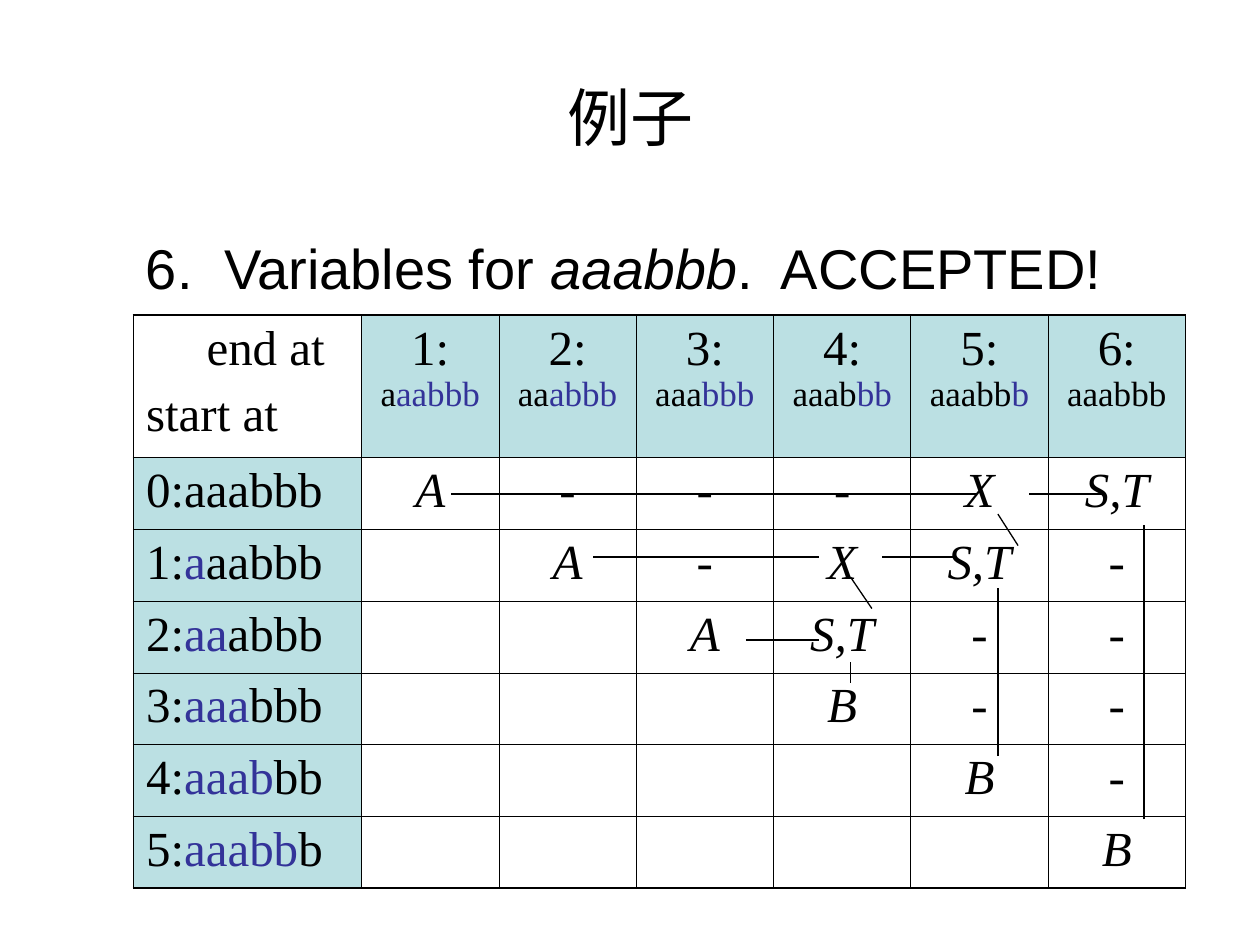
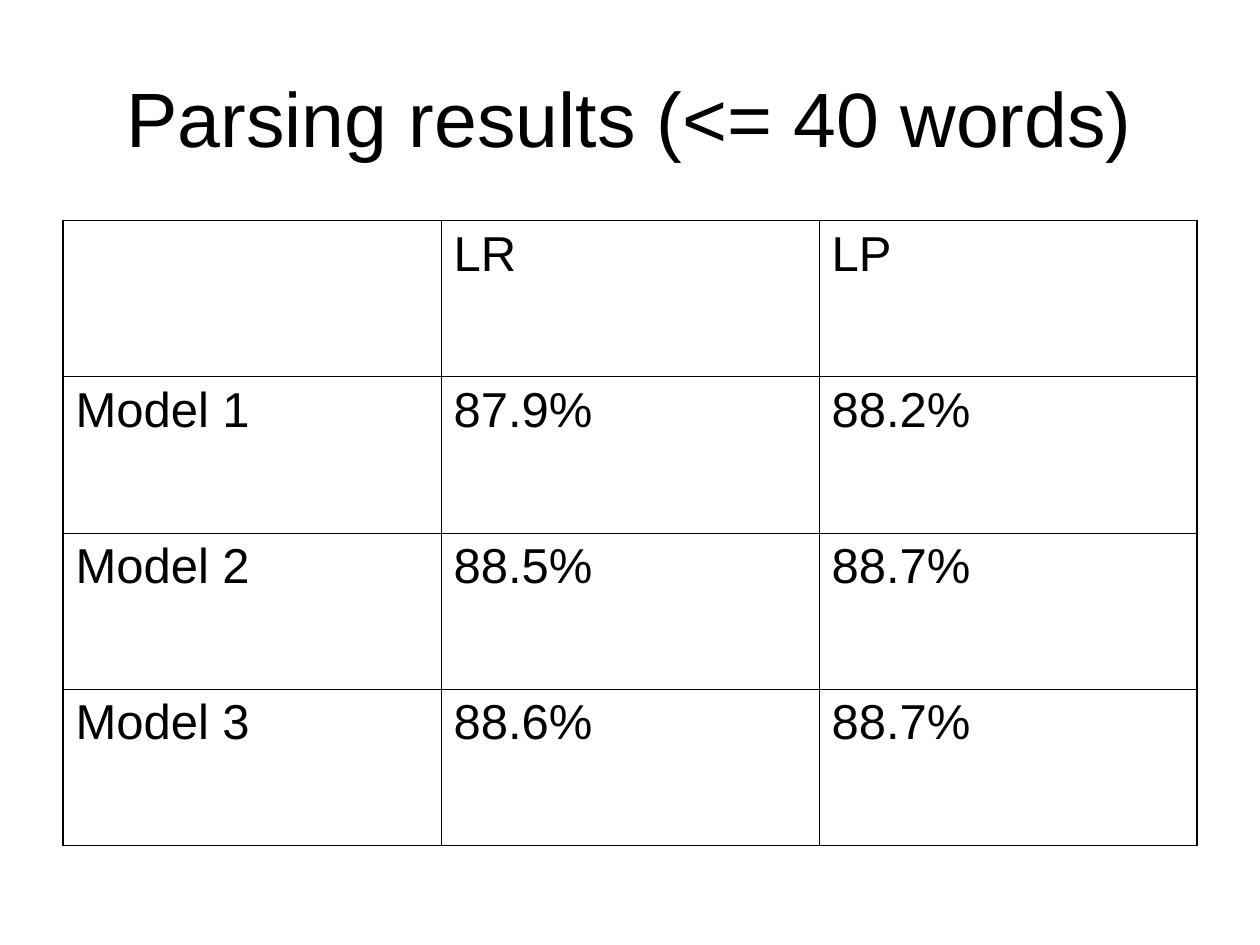
import pptx
import pptx.dml.color
import pptx.enum.shapes
import pptx.enum.text
import pptx.oxml.ns
import pptx.util
import lxml.etree

Inches = pptx.util.Inches
Pt = pptx.util.Pt
ALIGN = pptx.enum.text.PP_ALIGN
ANCHOR = pptx.enum.text.MSO_ANCHOR

WORD = "aaabbb"
VARIABLES = [
    ["A", "-", "-", "-", "X", "S,T"],
    ["", "A", "-", "X", "S,T", "-"],
    ["", "", "A", "S,T", "-", "-"],
    ["", "", "", "B", "-", "-"],
    ["", "", "", "", "B", "-"],
    ["", "", "", "", "", "B"],
]
DERIVATION_LINES = [
    (5.92, 5.08, 6.5, 5.08),
    (6.75, 5.42, 6.75, 5.25),
    (4.71, 4.42, 6.5, 4.42),
    (6.92, 4.83, 6.75, 4.58),
    (7, 4.42, 7.58, 4.42),
    (7.92, 6, 7.92, 4.67),
    (3.58, 3.92, 7.75, 3.92),
    (8.08, 4.33, 7.92, 4.08),
    (8.17, 3.92, 8.75, 3.92),
    (9.08, 6.5, 9.08, 4.17),
]
RESULTS = [
    ["", "LR", "LP"],
    ["Model 1", "87.9%", "88.2%"],
    ["Model 2", "88.5%", "88.7%"],
    ["Model 3", "88.6%", "88.7%"],
]


def colour(value):
    return pptx.dml.color.RGBColor.from_string(value)


def add_element(parent, name, **attributes):
    return lxml.etree.SubElement(parent, pptx.oxml.ns.qn(name), attributes)


class SlideBuilder:
    black = "000000"
    blue = "333399"
    header_fill = "BBE0E3"
    sans = "Arial"
    serif = "Times New Roman"
    inner_border = 0.45
    outer_border = 1.08

    def __init__(self, deck):
        self.deck = deck
        self.slide = None

    def add_slide(self, title, size):
        self.slide = self.deck.slides.add_slide(self.deck.slide_layouts[5])
        box = self.slide.shapes.title
        box.left, box.top = Inches(0.5), Inches(0.3)
        box.width, box.height = Inches(9), Inches(1.25)
        box.text_frame.vertical_anchor = ANCHOR.MIDDLE
        self.add_spans(box.text_frame.paragraphs[0], [(title, {})], size, self.sans, ALIGN.CENTER)

    def add_spans(self, para, spans, size, font, align=ALIGN.LEFT):
        para.alignment = align
        for text, style in spans:
            if not text:
                continue
            span = para.add_run()
            span.text = text
            span.font.name = font
            span.font.size = Pt(style.get("size", size))
            span.font.italic = style.get("italic", False)
            span.font.color.rgb = colour(style.get("colour", self.black))

    def add_text(self, left, top, width, height, spans, size, hanging):
        box = self.slide.shapes.add_textbox(Inches(left), Inches(top), Inches(width), Inches(height))
        box.text_frame.word_wrap = True
        para = box.text_frame.paragraphs[0]
        self.add_spans(para, spans, size, self.sans)
        self.indent(para, hanging, -hanging)

    def indent(self, para, left, first=0):
        properties = para._p.get_or_add_pPr()
        properties.set("marL", str(Inches(left)))
        properties.set("indent", str(Inches(first)))

    def add_table(self, left, top, widths, heights):
        frame = self.slide.shapes.add_table(
            len(heights), len(widths), Inches(left), Inches(top),
            Inches(sum(widths)), Inches(sum(heights)))
        table = frame.table
        table.first_row = table.horz_banding = False
        for column, width in zip(table.columns, widths):
            column.width = Inches(width)
        for row, height in zip(table.rows, heights):
            row.height = Inches(height)
        last_row, last_column = len(heights) - 1, len(widths) - 1
        for row in range(len(heights)):
            for column in range(len(widths)):
                cell = table.cell(row, column)
                self.border(cell, {
                    "a:lnL": column == 0,
                    "a:lnR": column == last_column,
                    "a:lnT": row == 0,
                    "a:lnB": row == last_row,
                })
                cell.fill.background()
        return table

    def border(self, cell, sides):
        properties = cell._tc.get_or_add_tcPr()
        for side, is_outer in sides.items():
            weight = self.outer_border if is_outer else self.inner_border
            edge = add_element(properties, side, w=str(Pt(weight)))
            fill = add_element(edge, "a:solidFill")
            add_element(fill, "a:srgbClr", val=self.black)

    def fill_cell(self, cell, spans, font, align=ALIGN.LEFT, fill=None):
        self.add_spans(cell.text_frame.paragraphs[0], spans, 28, font, align)
        if fill:
            cell.fill.solid()
            cell.fill.fore_color.rgb = colour(fill)

    def add_line(self, start_x, start_y, end_x, end_y):
        line = self.slide.shapes.add_connector(
            pptx.enum.shapes.MSO_CONNECTOR.STRAIGHT,
            Inches(start_x), Inches(start_y), Inches(end_x), Inches(end_y))
        line.line.color.rgb = colour(self.black)
        line.line.width = Pt(0.75)
        add_element(line._element.spPr, "a:effectLst")


def build_example(builder):
    builder.add_slide("例子", 36)
    builder.add_text(1.06, 1.8, 8.19, 0.65, [
        ("6.\tVariables for ", {}),
        (WORD, {"italic": True}),
        (".  ACCEPTED!", {}),
    ], 32, 0.62)

    count = len(WORD)
    table = builder.add_table(1.06, 2.5, [1.81] + [1.09] * count, [1.13] + [0.57] * count)
    corner = table.cell(0, 0)
    builder.fill_cell(corner, [("end at", {})], builder.serif)
    builder.indent(corner.text_frame.paragraphs[0], 0.48)
    start_label = corner.text_frame.add_paragraph()
    start_label.space_before = Pt(7)
    builder.add_spans(start_label, [("start at", {})], 28, builder.serif)

    for index in range(count):
        end = index + 1
        builder.fill_cell(table.cell(0, end), [
            (f"{end}: ", {}),
            (WORD[:end], {"size": 20}),
            (WORD[end:], {"size": 20, "colour": builder.blue}),
        ], builder.serif, ALIGN.CENTER, builder.header_fill)
        builder.fill_cell(table.cell(end, 0), [
            (f"{index}:", {}),
            (WORD[:index], {"colour": builder.blue}),
            (WORD[index:], {}),
        ], builder.serif, fill=builder.header_fill)

    for row, values in enumerate(VARIABLES, 1):
        for column, value in enumerate(values, 1):
            spans = [(value, {"italic": value != "-"})]
            builder.fill_cell(table.cell(row, column), spans, builder.serif, ALIGN.CENTER)

    for points in DERIVATION_LINES:
        builder.add_line(*points)


def build_results(builder):
    builder.add_slide("Parsing results (<= 40 words)", 44)
    table = builder.add_table(0.5, 1.75, [3] * 3, [1.24] * 4)
    for row, values in enumerate(RESULTS):
        for column, value in enumerate(values):
            builder.fill_cell(table.cell(row, column), [(value, {})], builder.sans)


def main():
    deck = pptx.Presentation()
    deck.slide_width, deck.slide_height = Inches(10), Inches(7.5)
    builder = SlideBuilder(deck)
    build_example(builder)
    build_results(builder)
    deck.save("out.pptx")


if __name__ == "__main__":
    main()
